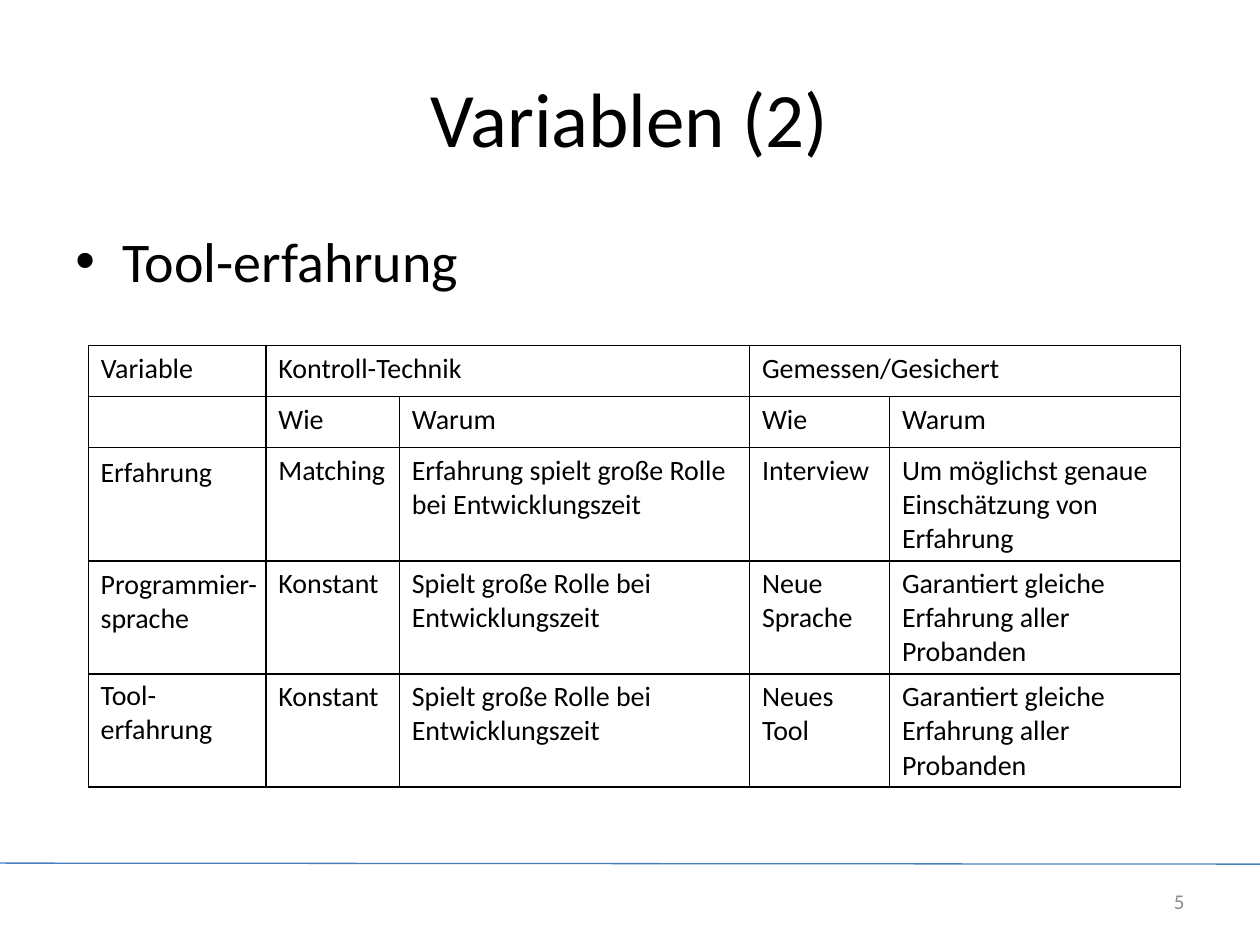
from lxml.etree import SubElement
from pptx import Presentation
from pptx.dml.color import RGBColor
from pptx.enum.shapes import MSO_CONNECTOR
from pptx.enum.text import MSO_ANCHOR, PP_ALIGN
from pptx.oxml.ns import qn
from pptx.util import Cm, Pt

FONT = "Calibri"
BLACK = "000000"
TABLE_LEFT = 1.78
HEADER_TOP = 6.96
HEADER_HEIGHT = 1.03
BODY_TOP = 9.02
BODY_HEIGHT = 2.28
COLUMN_WIDTHS = (3.58, 2.69, 7.06, 2.82, 5.87)

HEADER_ROWS = [
    ["Variable", "Kontroll-Technik", "", "Gemessen/Gesichert", ""],
    ["", "Wie", "Warum", "Wie", "Warum"],
]
BODY_ROWS = [
    ["", "Matching", "Erfahrung spielt große Rolle bei Entwicklungszeit",
     "Interview", "Um möglichst genaue Einschätzung von Erfahrung"],
    ["", "Konstant", "Spielt große Rolle bei Entwicklungszeit",
     "Neue Sprache", "Garantiert gleiche Erfahrung aller Probanden"],
    ["", "Konstant", "Spielt große Rolle bei Entwicklungszeit",
     "Neues Tool", "Garantiert gleiche Erfahrung aller Probanden"],
]
ROW_LABELS = [
    ("Erfahrung", (1.78, 9.22, 4.17, 0.58), MSO_ANCHOR.MIDDLE, True),
    ("Programmier-\nsprache", (1.78, 11.3, 3.73, 1.63), MSO_ANCHOR.TOP, False),
    ("Tool-\nerfahrung", (1.78, 13.54, 3.94, 1.63), MSO_ANCHOR.TOP, True),
]


def color(hex_value):
    """Turn a hex string into a colour."""
    return RGBColor.from_string(hex_value)


def format_text(frame, size, hex_value=BLACK, align=PP_ALIGN.LEFT):
    """Give all paragraphs of a text frame one look."""
    for paragraph in frame.paragraphs:
        paragraph.alignment = align
        paragraph.font.name = FONT
        paragraph.font.size = Pt(size)
        paragraph.font.color.rgb = color(hex_value)


def add_title(slide, text):
    """Fill and place the title placeholder."""
    title = slide.shapes.title
    title.left, title.top, title.width, title.height = map(Cm, (1.27, 0.76, 22.86, 3.18))
    title.text_frame.text = text
    title.text_frame.vertical_anchor = MSO_ANCHOR.MIDDLE
    format_text(title.text_frame, 44, align=PP_ALIGN.CENTER)


def add_text(slide, text, place, anchor=MSO_ANCHOR.TOP, wrap=True):
    """Add a text box and return its frame."""
    frame = slide.shapes.add_textbox(*map(Cm, place)).text_frame
    frame.text = text
    frame.word_wrap = wrap
    frame.vertical_anchor = anchor
    return frame


def add_bullet(slide, text, place):
    """Add a bulleted line with a hanging indent."""
    frame = add_text(slide, text, place)
    properties = frame.paragraphs[0]._p.get_or_add_pPr()
    properties.set("marL", str(Cm(0.95)))
    properties.set("indent", str(Cm(-0.95)))
    SubElement(properties, qn("a:buFont"), typeface="Arial")
    SubElement(properties, qn("a:buChar"), char="•")
    format_text(frame, 32)


def add_borders(cell):
    """Draw a thin black line on each side of a cell."""
    properties = cell._tc.get_or_add_tcPr()
    for position, side in enumerate(("a:lnL", "a:lnR", "a:lnT", "a:lnB")):
        border = properties.makeelement(qn(side), {"w": str(Pt(1))})
        fill = SubElement(border, qn("a:solidFill"))
        SubElement(fill, qn("a:srgbClr"), val=BLACK)
        properties.insert(position, border)


def add_grid(slide, rows, top, row_height):
    """Add a plain bordered table and return it."""
    table = slide.shapes.add_table(
        len(rows), len(COLUMN_WIDTHS), Cm(TABLE_LEFT), Cm(top),
        Cm(sum(COLUMN_WIDTHS)), Cm(row_height * len(rows))).table
    table.first_row = table.horz_banding = False
    for column, width in zip(table.columns, COLUMN_WIDTHS):
        column.width = Cm(width)
    for row, texts in zip(table.rows, rows):
        row.height = Cm(row_height)
        for cell, text in zip(row.cells, texts):
            cell.text = text
            cell.fill.background()
            format_text(cell.text_frame, 16)
            add_borders(cell)
    return table


def add_footer(slide, number):
    """Add the footer rule and the slide number."""
    rule = slide.shapes.add_connector(
        MSO_CONNECTOR.STRAIGHT, Cm(0), Cm(17.4), Cm(25.4), Cm(17.42))
    rule.line.color.rgb = color("4B7EBC")
    rule.line.width = Pt(0.75)
    SubElement(rule._element.spPr, qn("a:effectLst"))
    frame = add_text(slide, number, (21.82, 17.65, 2.31, 1.02), MSO_ANCHOR.MIDDLE)
    format_text(frame, 12, "8C8C8C", PP_ALIGN.RIGHT)


def main():
    """Build the slide and save it."""
    presentation = Presentation()
    presentation.slide_width, presentation.slide_height = Cm(25.4), Cm(19.05)
    slide = presentation.slides.add_slide(presentation.slide_layouts[5])
    add_title(slide, "Variablen (2)")
    add_bullet(slide, "Tool-erfahrung", (1.27, 4.45, 22.86, 12.57))
    header = add_grid(slide, HEADER_ROWS, HEADER_TOP, HEADER_HEIGHT)
    for first in (1, 3):
        header.cell(0, first).merge(header.cell(0, first + 1))
    for index, row in enumerate(BODY_ROWS):
        add_grid(slide, [row], BODY_TOP + index * BODY_HEIGHT, BODY_HEIGHT)
    for label, place, anchor, wrap in ROW_LABELS:
        format_text(add_text(slide, label, place, anchor, wrap), 16)
    add_footer(slide, "5")
    presentation.save("out.pptx")


if __name__ == "__main__":
    main()
